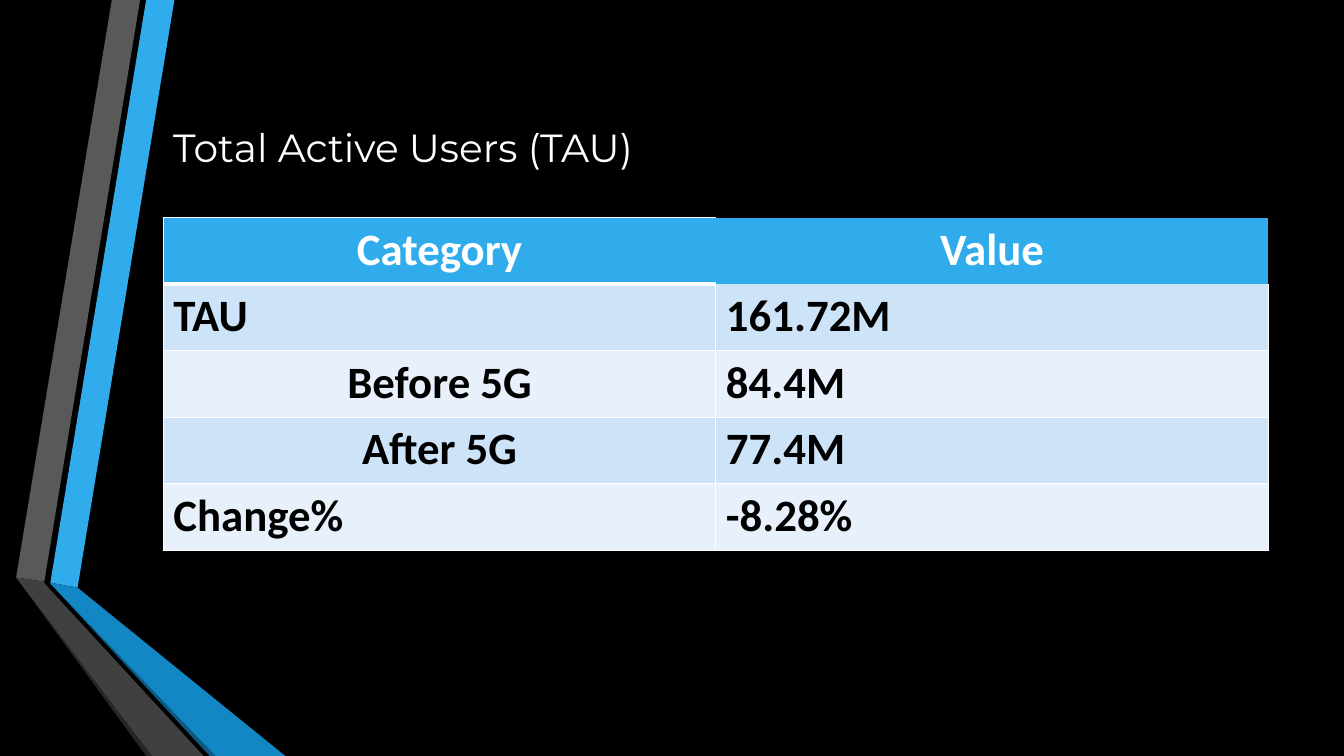
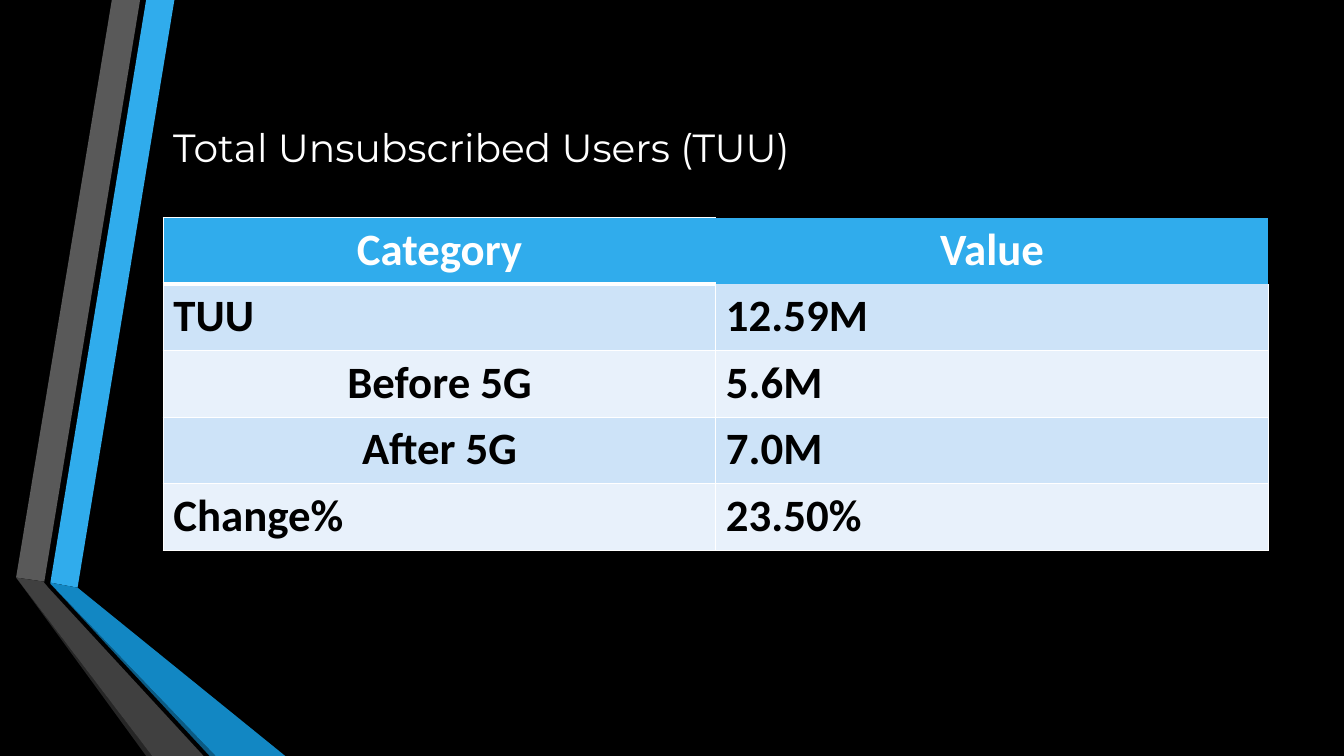
from dataclasses import dataclass

from lxml.etree import SubElement
from pptx import Presentation
from pptx.dml.color import RGBColor
from pptx.enum.text import MSO_ANCHOR as Anchor, PP_ALIGN as Align
from pptx.oxml.ns import qn
from pptx.util import Pt

PX = 9144  # EMU per px, 100 px to the inch
SLIDE_W, SLIDE_H = 1333, 750


@dataclass(frozen=True)
class Theme:
    background: str = "000000"
    accent: str = "30ACEC"
    accent_dark: str = "1287C3"
    accent_edge: str = "0C5A82"
    gray: str = "595959"
    gray_dark: str = "404040"
    gray_edge: str = "262626"
    light: str = "FFFFFF"
    dark: str = "000000"
    row_fills: tuple = ("CDE3F8", "E8F1FB")
    title_font: str = "Montserrat"
    body_font: str = "Calibri"
    title_size: int = 28
    body_size: int = 32
    thin: int = 1
    thick: int = 3


THEME = Theme()

HEADER = ("Category", "Value")
SLIDES = [
    ("Total Active Users (TAU)",
     [("TAU", "161.72M"), ("Before 5G", "84.4M"),
      ("After 5G", "77.4M"), ("Change%", "-8.28%")]),
    ("Total Unsubscribed Users (TUU)",
     [("TUU", "12.59M"), ("Before 5G", "5.6M"),
      ("After 5G", "7.0M"), ("Change%", "23.50%")]),
]
INDENTED = {"Before 5G", "After 5G"}

TITLE_BOX = (162, 75, 1096, 141)
TABLE_BOX = (162, 216, 1096, 330)

RIBBONS = [
    (THEME.accent, [(50, 578), (77, 583), (173, 0), (145, 0)]),
    (THEME.gray, [(139, 0), (111, 0), (16, 573), (44, 577)]),
    (THEME.gray_edge, [(16, 573), (145, 750), (151, 750)]),
    (THEME.accent_edge, [(50, 579), (208, 750), (214, 750)]),
    (THEME.accent_dark, [(50, 578), (50, 579), (214, 750), (283, 750), (77, 583)]),
    (THEME.gray_dark, [(16, 573), (151, 750), (202, 750), (48, 583), (43, 577)]),
]


def color(hex_value):
    return RGBColor.from_string(hex_value)


def px(values):
    return [v * PX for v in values]


def write(tf, text, *, font, size, ink, bold=False, align=Align.LEFT):
    p = tf.paragraphs[0]
    p.alignment = align
    r = p.add_run()
    r.text = text
    r.font.name, r.font.size, r.font.bold = font, Pt(size), bold
    r.font.color.rgb = color(ink)


def add_ribbons(s):
    for fill, (start, *rest) in RIBBONS:
        builder = s.shapes.build_freeform(*start, scale=PX)
        builder.add_line_segments(rest, close=True)
        sp = builder.convert_to_shape()
        sp.shadow.inherit = False
        sp.fill.solid()
        sp.fill.fore_color.rgb = color(fill)
        sp.line.fill.background()


def add_title(s, text):
    tf = s.shapes.add_textbox(*px(TITLE_BOX)).text_frame
    tf.word_wrap = True
    tf.vertical_anchor = Anchor.MIDDLE
    write(tf, text, font=THEME.title_font, size=THEME.title_size, ink=THEME.light)


def set_borders(cell, widths):
    """Draw the left, right, top and bottom borders; a width of 0 hides one."""
    tc_pr = cell._tc.get_or_add_tcPr()
    for side, width in zip("LRTB", widths):
        ln = SubElement(tc_pr, qn(f"a:ln{side}"), w=str(Pt(width)))
        if width:
            fill = SubElement(ln, qn("a:solidFill"))
            SubElement(fill, qn("a:srgbClr"), val=THEME.light)
        else:
            SubElement(ln, qn("a:noFill"))


def border_widths(row, col):
    thin, thick = THEME.thin, THEME.thick
    if row == 0:
        return (0, 0, 0, 0) if col else (thin, 0, thin, thick)
    top = thin if row > 1 else (0 if col else thick)
    return thin, thin, top, thin


def add_table(s, rows):
    rows = [HEADER, *rows]
    frame = s.shapes.add_table(len(rows), len(HEADER), *px(TABLE_BOX))
    for i, row in enumerate(rows):
        is_header = i == 0
        fill = THEME.accent if is_header else THEME.row_fills[(i - 1) % 2]
        for j, text in enumerate(row):
            cell = frame.table.cell(i, j)
            set_borders(cell, border_widths(i, j))
            cell.fill.solid()
            cell.fill.fore_color.rgb = color(fill)
            centred = is_header or text in INDENTED
            write(cell.text_frame, text, font=THEME.body_font,
                  size=THEME.body_size, bold=True,
                  ink=THEME.light if is_header else THEME.dark,
                  align=Align.CENTER if centred else Align.LEFT)


def main():
    prs = Presentation()
    prs.slide_width, prs.slide_height = px((SLIDE_W, SLIDE_H))
    backdrop = prs.slide_master.background.fill
    backdrop.solid()
    backdrop.fore_color.rgb = color(THEME.background)
    for title, rows in SLIDES:
        s = prs.slides.add_slide(prs.slide_layouts[6])
        add_ribbons(s)
        add_title(s, title)
        add_table(s, rows)
    prs.save("out.pptx")


if __name__ == "__main__":
    main()
